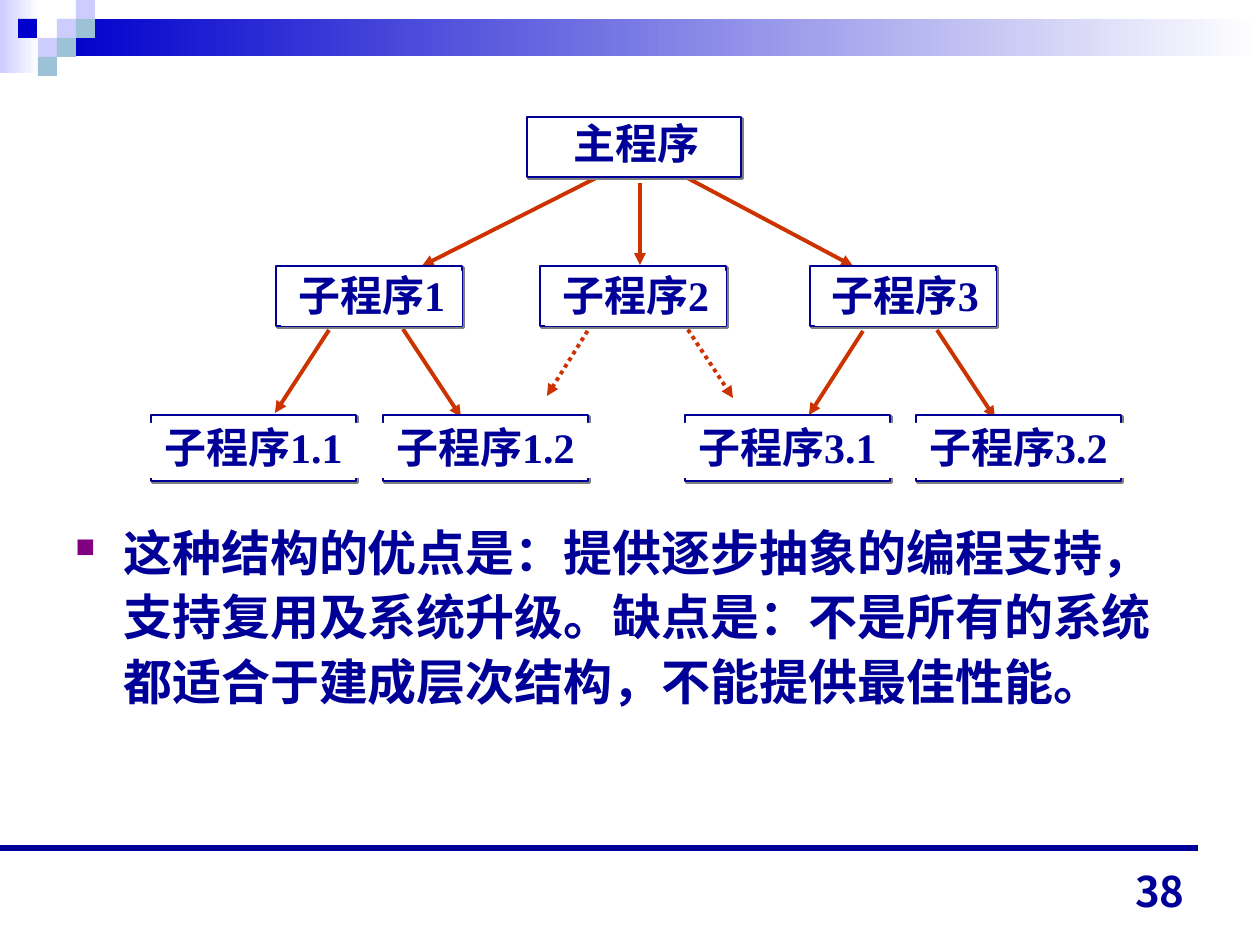
import pptx
import pptx.util
import pptx.dml.color
import pptx.enum.dml
import pptx.enum.shapes
import pptx.enum.text
import pptx.oxml
import pptx.oxml.ns
from lxml import etree

PX = 914400 / 126  # EMU in one px
NAVY, BLUE, LILAC, TEAL = "000099", "0000CC", "CCCCFF", "9DC2D7"
WHITE, RED, GREY, PURPLE = "FFFFFF", "CC3300", "808080", "800080"
SERIF, CJK = "Times New Roman", "Noto Sans CJK JP"

# Header: fading bars and mosaic tiles
BARS = [(0, 0, 39, 73, LILAC), (57, 19, 1203, 37, BLUE)]
TILE = 19
TILES = [(57, 19, LILAC), (76, 0, LILAC), (76, 19, TEAL), (38, 38, LILAC),
         (18, 19, BLUE), (57, 38, TEAL), (38, 57, TEAL)]

# Tree levels: frame top and size, label offset and size, line spacing, boxes
LEVELS = [
    dict(top=117, size=(214, 60), offset=(10, 4), label=(199, 53), spacing=0.8,
         boxes=[(527, "主程序")]),
    dict(top=266, size=(186, 60), offset=(5, 5), label=(181, 55), spacing=0.85,
         boxes=[(276, "子程序1"), (540, "子程序2"), (810, "子程序3")]),
    dict(top=415, size=(205, 66), offset=(-4, 8), label=(213, 55), spacing=0.85,
         boxes=[(151, "子程序1.1"), (383, "子程序1.2"),
                (685, "子程序3.1"), (916, "子程序3.2")]),
]
SOLID_ARROWS = [(678, 173, 853, 266), (640, 183, 640, 265), (602, 175, 422, 266),
                (863, 331, 809, 415), (937, 330, 995, 418),
                (329, 330, 275, 413), (403, 329, 461, 417)]
DOTTED_ARROWS = [(600, 311, 547, 396), (675, 310, 733, 398)]

BODY = ("这种结构的优点是：提供逐步抽象的编程支持，支持复用及系统升级。"
        "缺点是：不是所有的系统都适合于建成层次结构，不能提供最佳性能。")
PAGE = "38"


def emu(*values):
    return [round(v * PX) for v in values]


def rgb(color):
    return pptx.dml.color.RGBColor.from_string(color)


def sub(parent, tag, **attrs):
    return etree.SubElement(parent, pptx.oxml.ns.qn(tag), attrs)


def add_rect(x, y, w, h, fill=WHITE):
    sp = s.shapes.add_shape(pptx.enum.shapes.MSO_SHAPE.RECTANGLE, *emu(x, y, w, h))
    sp.shadow.inherit = False
    sp.fill.solid()
    sp.fill.fore_color.rgb = rgb(fill)
    sp.line.fill.background()
    return sp


def add_bar(x, y, w, h, color):
    sp = add_rect(x, y, w, h)
    sp.fill.gradient()
    sp.fill.gradient_angle = 0
    for stop, stop_color in zip(sp.fill.gradient_stops, (color, WHITE)):
        stop.color.rgb = rgb(stop_color)


def add_frame(x, y, w, h):
    sp = add_rect(x, y, w, h)
    sp.line.color.rgb = rgb(NAVY)
    sp.line.width = pptx.util.Pt(1.5)
    effects = sp.element.spPr.find(pptx.oxml.ns.qn("a:effectLst"))
    shadow = sub(effects, "a:outerShdw", dist="17780", dir="2700000",
                 algn="ctr", rotWithShape="0")
    sub(shadow, "a:srgbClr", val=GREY)


def add_line(x1, y1, x2, y2, color, width):
    line = s.shapes.add_connector(pptx.enum.shapes.MSO_CONNECTOR.STRAIGHT,
                                  *emu(x1, y1, x2, y2))
    line.line.color.rgb = rgb(color)
    line.line.width = pptx.util.Pt(width)
    sub(line.element.spPr, "a:effectLst")
    return line


def add_arrow(points, dotted=False):
    line = add_line(*points, RED, 2.25)
    if dotted:
        line.line.dash_style = pptx.enum.dml.MSO_LINE.ROUND_DOT
    sub(line.line._get_or_add_ln(), "a:tailEnd", type="triangle")


def write(sp, text, size, align, font=SERIF, spacing=None):
    tf = sp.text_frame
    tf.text = text
    p = tf.paragraphs[0]
    p.alignment = align
    p.line_spacing = spacing
    r = p.runs[0]
    r.font.size = pptx.util.Pt(size)
    r.font.bold = True
    r.font.name = font
    r.font.color.rgb = rgb(NAVY)
    sub(r.font._element, "a:ea", typeface=CJK)
    return p


def add_text_box(x, y, w, h):
    sp = s.shapes.add_textbox(*emu(x, y, w, h))
    sp.text_frame.word_wrap = True
    return sp


prs = pptx.Presentation()
prs.slide_width, prs.slide_height = emu(1260, 945)
s = prs.slides.add_slide(prs.slide_layouts[6])
ALIGN = pptx.enum.text.PP_ALIGN
ANCHOR = pptx.enum.text.MSO_ANCHOR

# Header and footer rule
for bar in BARS:
    add_bar(*bar)
for x, y, color in TILES:
    add_rect(x, y, TILE, TILE, color)
add_line(0, 848, 1198, 848, NAVY, 3.25)

# Body paragraph with a square bullet
p = write(add_text_box(63, 510, 1134, 296), BODY, 28, ALIGN.LEFT, spacing=1.1)
pPr = p._p.get_or_add_pPr()
pPr.set("marL", str(emu(48)[0]))
pPr.set("indent", str(emu(-48)[0]))
sub(sub(pPr, "a:buClr"), "a:srgbClr", val=PURPLE)
sub(pPr, "a:buSzPct", val="55000")
sub(pPr, "a:buChar", char="■")

# Call arrows, behind the boxes
for points in SOLID_ARROWS:
    add_arrow(points)
for points in DOTTED_ARROWS:
    add_arrow(points, dotted=True)

# Program boxes: a framed box with a label plate on top
for level in LEVELS:
    dx, dy = level["offset"]
    for x, name in level["boxes"]:
        add_frame(x, level["top"], *level["size"])
        box = (x + dx, level["top"] + dy, *level["label"])
        sp = add_text_box(*box) if level is LEVELS[0] else add_rect(*box)
        tf = sp.text_frame
        tf.word_wrap = False
        tf.margin_left = tf.margin_right = 0
        tf.vertical_anchor = ANCHOR.TOP
        write(sp, name, 24, ALIGN.CENTER, spacing=level["spacing"])

# Page number
sp = add_text_box(903, 859, 294, 63)
sp.text_frame.vertical_anchor = ANCHOR.BOTTOM
write(sp, PAGE, 24, ALIGN.RIGHT, font=CJK)

prs.save("out.pptx")
